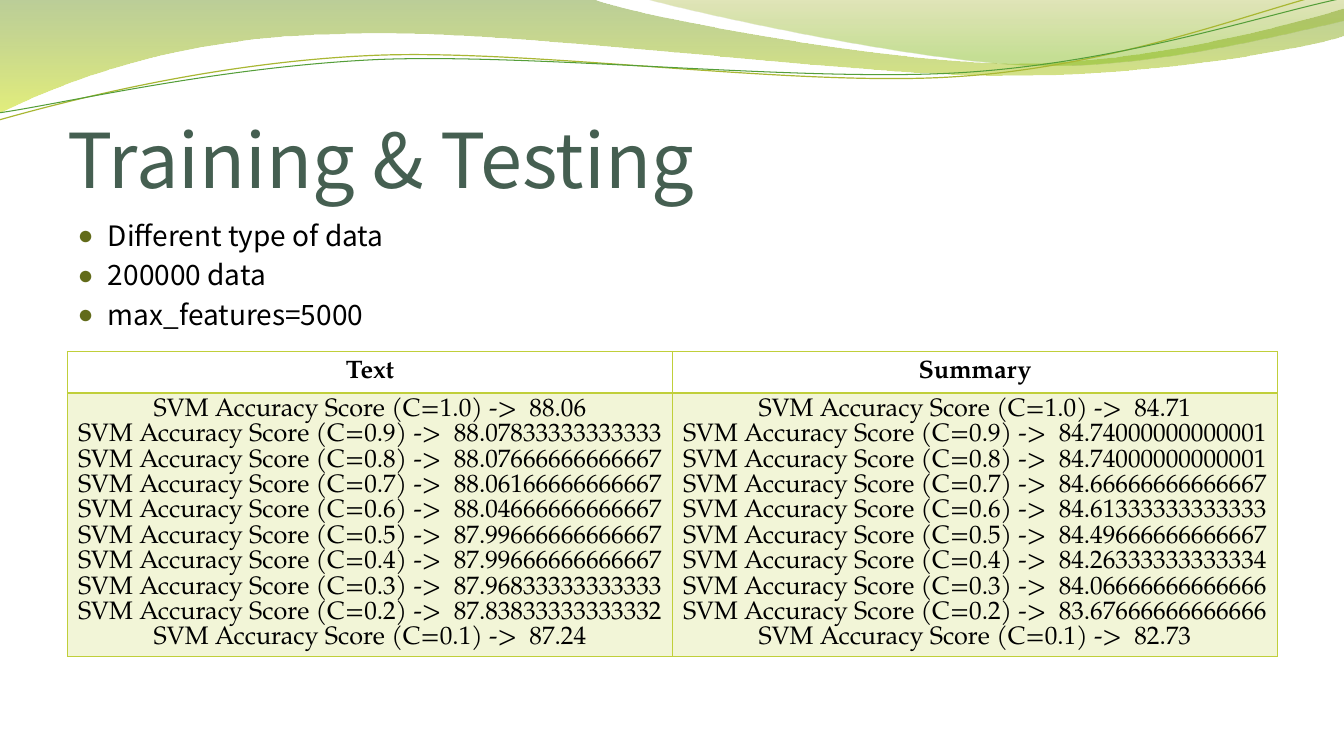
import pptx
import pptx.util
import pptx.dml.color
import pptx.enum.text
import pptx.oxml
import pptx.oxml.ns
from pptx.util import Inches

TITLE = "Training & Testing"
POINTS = ["Different type of data", "200000 data", "max_features=5000"]
SCORES = {
    "Text": ["88.06", "88.07833333333333", "88.07666666666667", "88.06166666666667",
             "88.04666666666667", "87.99666666666667", "87.99666666666667",
             "87.96833333333333", "87.83833333333332", "87.24"],
    "Summary": ["84.71", "84.74000000000001", "84.74000000000001", "84.66666666666667",
                "84.61333333333333", "84.49666666666667", "84.26333333333334",
                "84.06666666666666", "83.67666666666666", "82.73"],
}
COLORS = {"title": "455F51", "text": "000000", "bullet": "626B1A", "table": "C0CF3A",
          "olive": "A9B733", "green": "549E39"}
HEADING_FONT, TABLE_FONT = "Noto Sans CJK SC", "TeX Gyre Pagella"

# Waves: a start point, then points (2 numbers) or Bezier curves (6 numbers), in inches
BANDS = [
    ([(0, 0), (5.87, -0.01), (6.34, 0.17, 8.84, 0.63, 10.11, 0.63),
      (11.37, 0.63, 12.77, 0.26, 13.33, 0.09), (13.34, 0.36),
      (13.11, 0.44, 11.59, 0.76, 9.94, 0.75), (8.29, 0.75, 5.09, 0.28, 3.43, 0.34),
      (1.72, 0.36, 0.61, 0.83, -0.02, 1.13)],
     [(0, "69921C", 45), (100, "CCE10F", 55)]),
    ([(6.38, -0.01), (6.79, 0.11, 9.09, 0.62, 10.25, 0.65),
      (11.4, 0.69, 12.82, 0.32, 13.33, 0.21), (13.33, 0)],
     [(0, "9BAA1A", 30), (80, "81BA16", 45)]),
]
STRANDS = [
    ([(-0.01, 1.19), (0.63, 1.01, 2.1, 0.62, 3.69, 0.55),
      (5.27, 0.48, 7.89, 0.87, 9.49, 0.76), (11.1, 0.66, 12.51, 0.08, 13.3, -0.1)],
     "olive", 0.85),
    ([(-0.01, 1.12), (0.62, 1.03, 2.18, 0.66, 3.77, 0.59),
      (5.37, 0.53, 7.96, 0.82, 9.55, 0.72), (11.14, 0.62, 12.55, 0.14, 13.33, -0.02)],
     "green", 0.75),
]

deck = pptx.Presentation()
deck.slide_width, deck.slide_height = Inches(13.33), Inches(7.5)
slide = deck.slides.add_slide(deck.slide_layouts[1])


def rgb(name):
    return pptx.dml.color.RGBColor.from_string(COLORS[name])


def xml(tag, attributes="", inner=""):
    return pptx.oxml.parse_xml(
        f'<a:{tag} {pptx.oxml.ns.nsdecls("a")} {attributes}>{inner}</a:{tag}>')


def color_xml(value, alpha=100):
    opacity = f'<a:alpha val="{alpha * 1000}"/>' if alpha < 100 else ""
    return f'<a:srgbClr val="{value}">{opacity}</a:srgbClr>'


def add_text(paragraph, text, font, size, color, bold=False):
    run = paragraph.add_run()
    run.text = text
    run.font.name, run.font.size, run.font.bold = font, pptx.util.Pt(size), bold
    run.font.color.rgb = rgb(color)


def place(shape, left, top, width, height):
    shape.left, shape.top = Inches(left), Inches(top)
    shape.width, shape.height = Inches(width), Inches(height)


def add_wave(outline, close, layer):
    points = [(Inches(piece[i]), Inches(piece[i + 1]))
              for piece in outline for i in range(0, len(piece), 2)]
    builder = slide.shapes.build_freeform(*points[0])
    builder.add_line_segments(points[1:], close=close)
    wave = builder.convert_to_shape()
    # Each group of three line segments becomes one Bezier curve
    segments = iter(list(wave._element.iter(pptx.oxml.ns.qn("a:lnTo"))))
    for piece in outline[1:]:
        group = [next(segments) for _ in range(len(piece) // 2)]
        if len(group) == 3:
            curve = xml("cubicBezTo")
            group[0].addprevious(curve)
            for segment in group:
                curve.append(segment[0])
                segment.getparent().remove(segment)
    wave.shadow.inherit = False
    wave.fill.background()
    slide.shapes._spTree.insert(2 + layer, wave._element)  # behind the placeholders
    return wave


# Wave header
for layer, (outline, stops) in enumerate(BANDS):
    band = add_wave(outline, True, layer)
    band.line.fill.background()
    stops_xml = "".join(f'<a:gs pos="{pos * 1000}">{color_xml(value, alpha)}</a:gs>'
                        for pos, value, alpha in stops)
    no_fill = band._element.spPr.find(pptx.oxml.ns.qn("a:noFill"))
    band._element.spPr.replace(no_fill, xml(
        "gradFill", 'rotWithShape="1"',
        f'<a:gsLst>{stops_xml}</a:gsLst><a:lin ang="5400000" scaled="0"/>'))
for layer, (outline, color, width) in enumerate(STRANDS, len(BANDS)):
    strand = add_wave(outline, False, layer)
    strand.line.color.rgb, strand.line.width = rgb(color), pptx.util.Pt(width)

# Title
title = slide.shapes.title
place(title, 0.67, 0.77, 12, 1.25)
heading = title.text_frame
heading.auto_size = pptx.enum.text.MSO_AUTO_SIZE.NONE
heading.vertical_anchor = pptx.enum.text.MSO_ANCHOR.BOTTOM
heading.margin_left = heading.margin_right = heading.margin_bottom = 0
heading.paragraphs[0].alignment = pptx.enum.text.PP_ALIGN.LEFT
add_text(heading.paragraphs[0], TITLE, HEADING_FONT, 54, "title")

# Bullet list
body = slide.placeholders[1]
place(body, 0.67, 2.12, 12, 4.8)
body.text_frame.auto_size = pptx.enum.text.MSO_AUTO_SIZE.NONE
for index, point in enumerate(POINTS):
    paragraph = body.text_frame.paragraphs[0] if index == 0 else body.text_frame.add_paragraph()
    add_text(paragraph, point, HEADING_FONT, 20, "text")
    properties = paragraph._p.get_or_add_pPr()
    properties.set("marL", str(Inches(0.3)))
    properties.set("indent", str(-Inches(0.3)))
    for bullet_part in (xml("spcBef", "", '<a:spcPct val="20000"/>'),
                        xml("buClr", "", color_xml(COLORS["bullet"])),
                        xml("buSzPct", 'val="95000"'),
                        xml("buFont", 'typeface="Arial"'),
                        xml("buChar", 'char="●"')):
        properties.append(bullet_part)

# Score table
frame = slide.shapes.add_table(2, len(SCORES), Inches(0.67), Inches(3.49), Inches(12), Inches(3.02))
table = frame.table
table.first_row = table.horz_banding = False
table.rows[0].height, table.rows[1].height = Inches(0.41), Inches(2.61)


def fill_cell(cell, lines, bold, shaded):
    cell.vertical_anchor = pptx.enum.text.MSO_ANCHOR.MIDDLE
    for index, line in enumerate(lines):
        paragraph = cell.text_frame.paragraphs[0] if index == 0 else cell.text_frame.add_paragraph()
        paragraph.alignment = pptx.enum.text.PP_ALIGN.CENTER
        add_text(paragraph, line, TABLE_FONT, 18, "text", bold)
    properties = cell._tc.get_or_add_tcPr()
    for side in "LRTB":
        width = 2 if side == "B" and not shaded or side == "T" and shaded else 1
        properties.append(xml(f"ln{side}", f'w="{pptx.util.Pt(width)}"',
                              f'<a:solidFill>{color_xml(COLORS["table"])}</a:solidFill>'))
    properties.append(xml("solidFill", "", color_xml(COLORS["table"], 20))
                      if shaded else xml("noFill"))


for column, (source, scores) in enumerate(SCORES.items()):
    lines = [f"SVM Accuracy Score (C={1 - step / 10:.1f}) ->  {score}"
             for step, score in enumerate(scores)]
    fill_cell(table.cell(0, column), [source], True, False)
    fill_cell(table.cell(1, column), lines, False, True)

deck.save("out.pptx")
